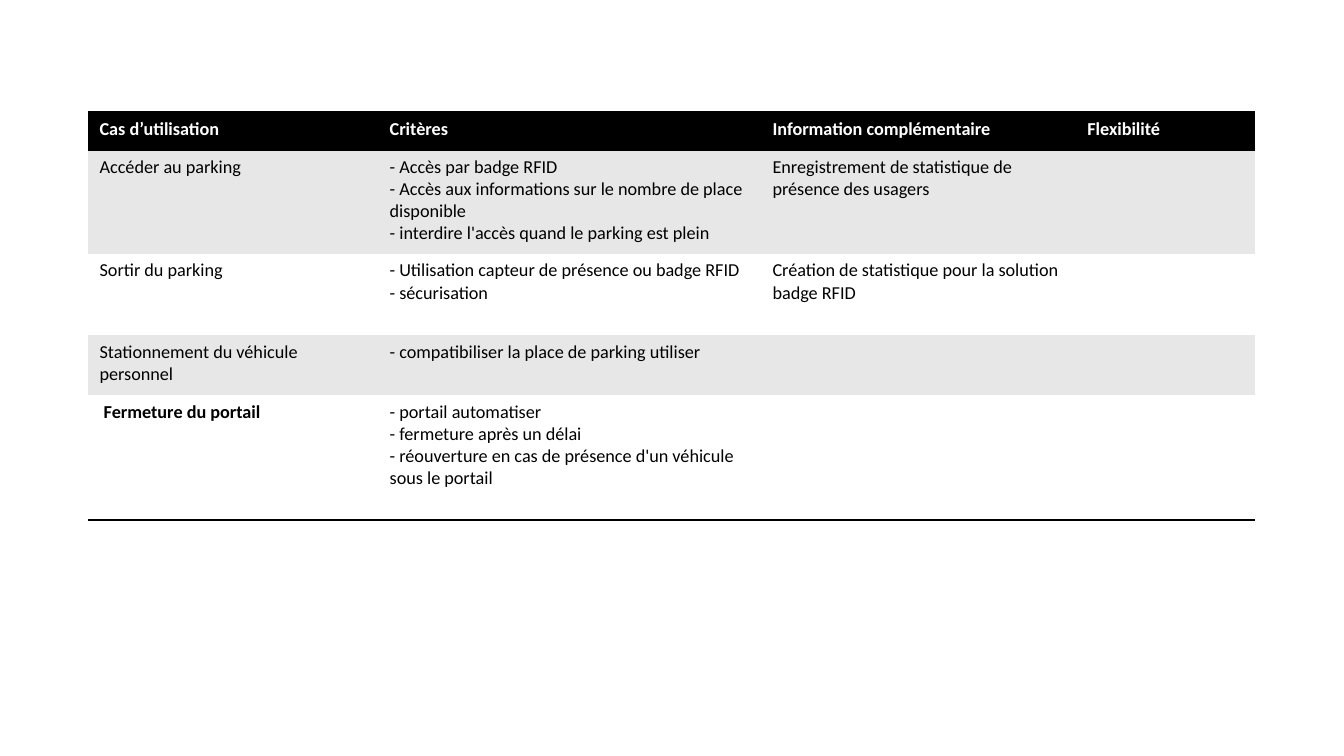
from lxml import etree
from pptx import Presentation
from pptx.dml.color import RGBColor
from pptx.oxml import ns
from pptx.util import Pt

HEADERS = ["Cas d’utilisation", "Critères", "Information complémentaire", "Flexibilité"]
USE_CASES = [
    ("Accéder au parking",
     ["- Accès par badge RFID",
      "- Accès aux informations sur le nombre de place disponible",
      "- interdire l'accès quand le parking est plein"],
     "Enregistrement de statistique de présence des usagers"),
    ("Sortir du parking",
     ["- Utilisation capteur de présence ou badge RFID", "- sécurisation"],
     "Création de statistique pour la solution badge RFID"),
    ("Stationnement du véhicule personnel",
     ["- compatibiliser la place de parking utiliser"], ""),
    (" Fermeture du portail",
     ["- portail automatiser",
      "- fermeture après un délai",
      "- réouverture en cas de présence d'un véhicule sous le portail"], ""),
]
BOLD_CASE = " Fermeture du portail"

BLACK = RGBColor(0x00, 0x00, 0x00)
WHITE = RGBColor(0xFF, 0xFF, 0xFF)
GREY = RGBColor(0xE7, 0xE7, 0xE7)
FONT, FONT_SIZE = "Calibri", Pt(13)
COLUMN_WIDTHS = [207.2, 273.5, 224.9, 128.2]
ROW_HEIGHTS = [27, 73.9, 58.2, 42.8, 89.2]
TABLE_LEFT, TABLE_TOP = 62.9, 80.3
PLAIN_TABLE_STYLE = "{2D5ABB26-0587-4C30-8999-92F81FD0307C}"


def add_borders(cell, sides):
    """Draw 2 pt black lines; sides are T and B, in that order."""
    properties = cell._tc.get_or_add_tcPr()
    for position, side in enumerate(sides):
        line = etree.Element(ns.qn("a:ln" + side), w=str(Pt(2)))
        fill = etree.SubElement(line, ns.qn("a:solidFill"))
        etree.SubElement(fill, ns.qn("a:srgbClr"), val=str(BLACK))
        properties.insert(position, line)


def fill_cell(cell, lines, background, color, bold):
    cell.margin_left = cell.margin_right = Pt(8.3)
    cell.margin_top = cell.margin_bottom = Pt(4.2)
    cell.fill.solid()
    cell.fill.fore_color.rgb = background
    frame = cell.text_frame
    for number, line in enumerate(lines):
        paragraph = frame.add_paragraph() if number else frame.paragraphs[0]
        paragraph.font.size = FONT_SIZE
        if not line:
            continue
        run = paragraph.add_run()
        run.text = line
        run.font.name = FONT
        run.font.size = FONT_SIZE
        run.font.bold = bold
        run.font.color.rgb = color


def main():
    presentation = Presentation()
    presentation.slide_width, presentation.slide_height = Pt(960), Pt(540)
    slide = presentation.slides.add_slide(presentation.slide_layouts[6])

    frame = slide.shapes.add_table(
        len(ROW_HEIGHTS), len(COLUMN_WIDTHS), Pt(TABLE_LEFT), Pt(TABLE_TOP),
        Pt(sum(COLUMN_WIDTHS)), Pt(sum(ROW_HEIGHTS)))
    table = frame.table
    table.horz_banding = False
    table._tbl.tblPr.find(ns.qn("a:tableStyleId")).text = PLAIN_TABLE_STYLE
    for column, width in zip(table.columns, COLUMN_WIDTHS):
        column.width = Pt(width)
    for row, height in zip(table.rows, ROW_HEIGHTS):
        row.height = Pt(height)

    for cell, header in zip(table.rows[0].cells, HEADERS):
        fill_cell(cell, [header], BLACK, WHITE, True)
        add_borders(cell, "TB")
    for number, (use_case, criteria, information) in enumerate(USE_CASES, 1):
        contents = [[use_case], criteria, [information], [""]]
        background = GREY if number % 2 else WHITE
        for cell, lines in zip(table.rows[number].cells, contents):
            fill_cell(cell, lines, background, BLACK, lines == [BOLD_CASE])
            if number == len(USE_CASES):
                add_borders(cell, "B")

    presentation.save("out.pptx")


if __name__ == "__main__":
    main()
